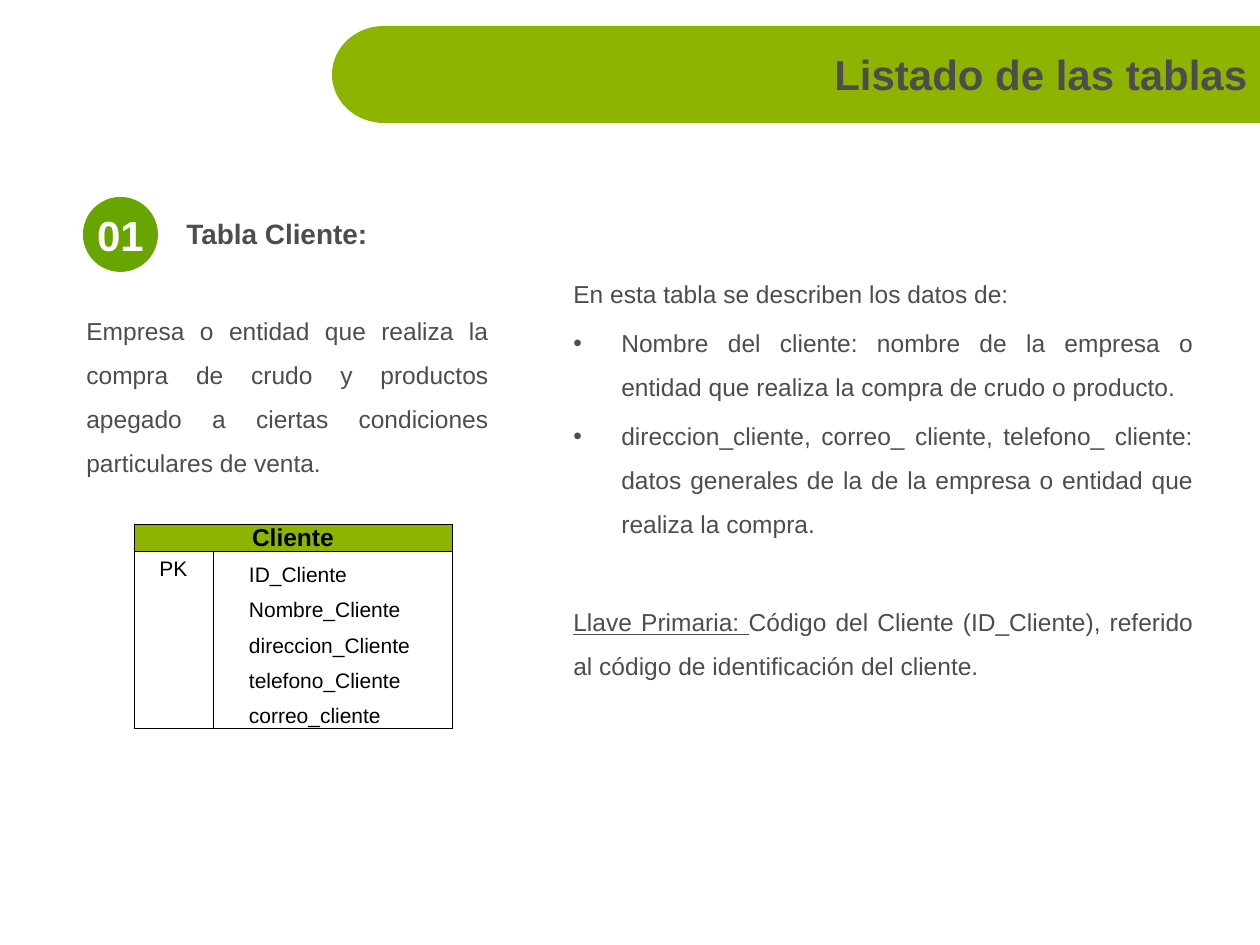
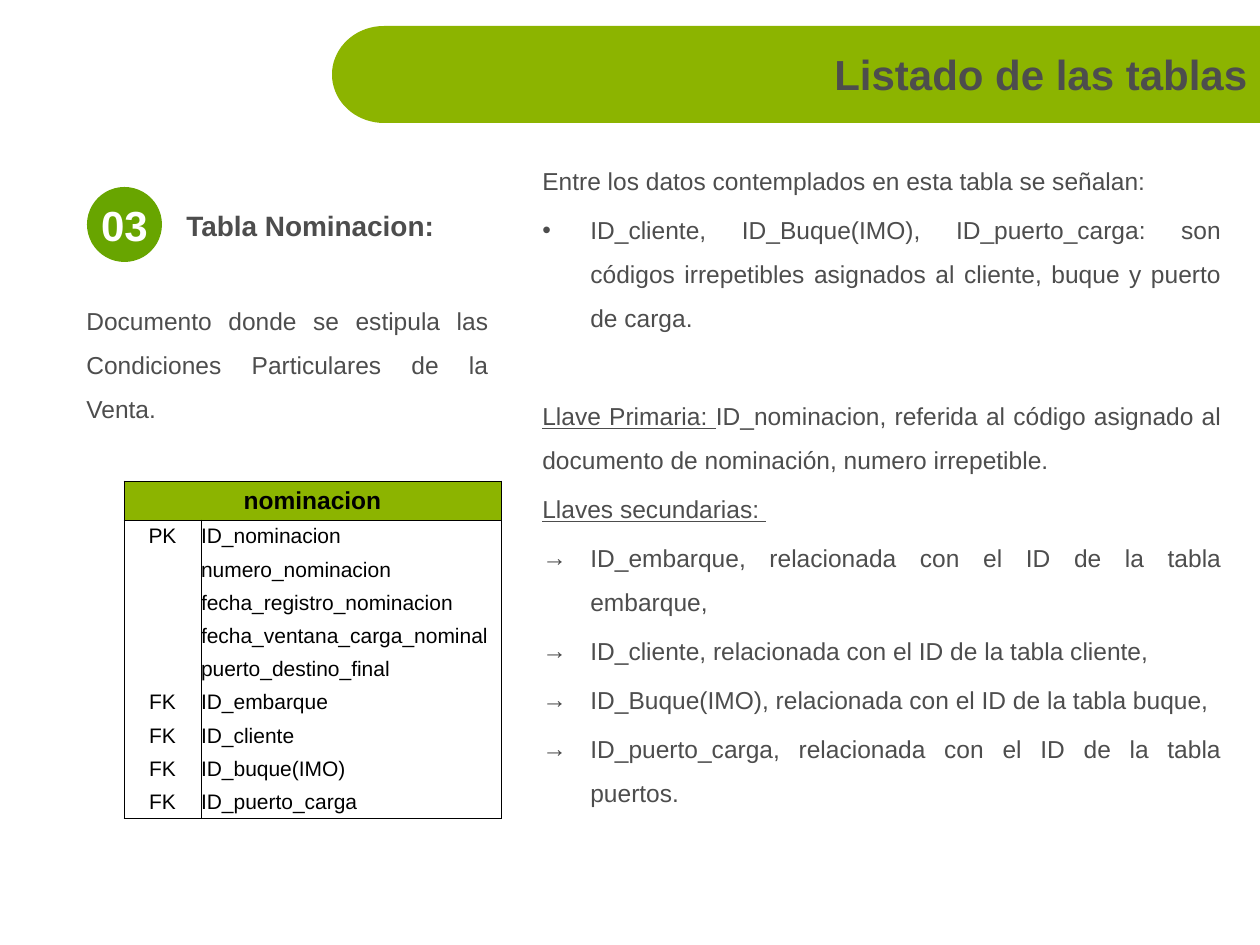
import math
from dataclasses import dataclass

from lxml import etree
from pptx import Presentation
from pptx.dml.color import RGBColor
from pptx.enum import shapes, text
from pptx.oxml.ns import qn
from pptx.util import Emu, Pt

EMU_PER_PX = 914400 / 126


@dataclass(frozen=True)
class Theme:
    font: str = "Arial"
    band: str = "8CB400"
    badge: str = "68A500"
    ink: str = "4D4D4D"
    black: str = "000000"
    white: str = "FFFFFF"
    title: int = 24
    label: int = 16
    body: int = 14
    cell: int = 12
    rule: float = 0.5
    leading: float = 1.5
    para_gap: float = 2.8
    section_gap: float = 30.8
    hang: int = 48


THEME = Theme()
BAND = dict(left=332, top=26, right=1260, bottom=123, curve=52)
TITLE_BOX = (386, 34, 874, 79)
BADGE_SIZE = 75
TITLE = "Listado de las tablas"

# Each note is (kind, underlined lead, text); kind is a bullet mark, "" or "section".
SLIDES = [
    dict(
        number="01", badge=(83, 197),
        label="Tabla Cliente:", label_box=(174, 210, 238, 47),
        summary="Empresa o entidad que realiza la compra de crudo y productos apegado a "
                "ciertas condiciones particulares de venta.",
        summary_box=(74, 295, 427, 218),
        notes_box=(561, 258, 645, 436),
        notes=[
            ("", "", "En esta tabla se describen los datos de:"),
            ("•", "", "Nombre del cliente: nombre de la empresa o entidad que realiza la "
                      "compra de crudo o producto."),
            ("•", "", "direccion_cliente, correo_ cliente, telefono_ cliente: datos generales "
                      "de la de la empresa o entidad que realiza la compra."),
            ("section", "Llave Primaria: ", "Código del Cliente (ID_Cliente), referido al "
                                            "código de identificación del cliente."),
        ],
        entity="Cliente", table_at=(134, 524), cols=(79, 239),
        header_height=26, body_height=177, indent=36, leading=THEME.leading,
        fields=[("PK", "ID_Cliente"), ("", "Nombre_Cliente"), ("", "direccion_Cliente"),
                ("", "telefono_Cliente"), ("", "correo_cliente")],
    ),
    dict(
        number="03", badge=(87, 187),
        label="Tabla Nominacion:", label_box=(174, 202, 277, 47),
        summary="Documento donde se estipula las Condiciones Particulares de la Venta.",
        summary_box=(74, 285, 427, 139),
        notes_box=(530, 145, 704, 436),
        notes=[
            ("", "", "Entre los datos contemplados en esta tabla se señalan:"),
            ("•", "", "ID_cliente, ID_Buque(IMO), ID_puerto_carga: son códigos irrepetibles "
                      "asignados al cliente, buque y puerto de carga."),
            ("section", "Llave Primaria: ", "ID_nominacion, referida al código asignado al "
                                            "documento de nominación, numero irrepetible."),
            ("", "Llaves secundarias: ", ""),
            ("→", "", "ID_embarque, relacionada con el ID de la tabla embarque,"),
            ("→", "", "ID_cliente, relacionada con el ID de la tabla cliente,"),
            ("→", "", "ID_Buque(IMO), relacionada con el ID de la tabla buque,"),
            ("→", "", "ID_puerto_carga, relacionada con el ID de la tabla puertos."),
        ],
        entity="nominacion", table_at=(124, 481), cols=(77, 300),
        header_height=39, body_height=299, indent=0, leading=1.0,
        fields=[("PK", "ID_nominacion"), ("", "numero_nominacion"),
                ("", "fecha_registro_nominacion"), ("", "fecha_ventana_carga_nominal"),
                ("", "puerto_destino_final"), ("FK", "ID_embarque"), ("FK", "ID_cliente"),
                ("FK", "ID_buque(IMO)"), ("FK", "ID_puerto_carga")],
    ),
]


def px(n):
    return Emu(round(n * EMU_PER_PX))


def box(*lengths):
    return [px(n) for n in lengths]


def rgb(value):
    return RGBColor.from_string(value)


def assign(obj, **values):
    for name, value in values.items():
        setattr(obj, name, value)


def add_run(p, words, size, color=THEME.ink, **style):
    r = p.add_run()
    r.text = words
    assign(r.font, name=THEME.font, size=Pt(size), **style)
    r.font.color.rgb = rgb(color)


def paint(sp, color):
    sp.shadow.inherit = False
    sp.fill.solid()
    sp.fill.fore_color.rgb = rgb(color)
    sp.line.fill.background()


def set_frame(tf, anchor=text.MSO_ANCHOR.TOP, **values):
    assign(tf, word_wrap=True, auto_size=text.MSO_AUTO_SIZE.NONE,
           vertical_anchor=anchor, **values)


def add_band(s):
    """Bar that runs off the right edge, with an elliptical left end."""
    left, top, right, bottom, curve = BAND.values()
    mid, half = (top + bottom) / 2, (bottom - top) / 2
    arc = [(left + curve - curve * math.sin(math.radians(a)),
            mid + half * math.cos(math.radians(a))) for a in range(0, 181, 5)]
    outline = s.shapes.build_freeform(*box(right, top))
    outline.add_line_segments([box(x, y) for x, y in [(right, bottom), *arc]])
    paint(outline.convert_to_shape(), THEME.band)


def add_title(s):
    sp = s.shapes.title
    sp.left, sp.top, sp.width, sp.height = box(*TITLE_BOX)
    sp.element.getparent().append(sp.element)  # bring in front of the band
    set_frame(sp.text_frame, text.MSO_ANCHOR.MIDDLE)
    p = sp.text_frame.paragraphs[0]
    p.alignment = text.PP_ALIGN.RIGHT
    add_run(p, TITLE, THEME.title, bold=True)


def add_badge(s, number, at):
    sp = s.shapes.add_shape(shapes.MSO_SHAPE.OVAL, *box(*at, BADGE_SIZE, BADGE_SIZE))
    paint(sp, THEME.badge)
    tf = sp.text_frame
    set_frame(tf, text.MSO_ANCHOR.MIDDLE, margin_left=0, margin_right=0,
              margin_top=0, margin_bottom=0)
    tf.word_wrap = False
    p = tf.paragraphs[0]
    p.alignment = text.PP_ALIGN.CENTER
    add_run(p, number, THEME.title, THEME.white, bold=True)


def add_label(s, words, place):
    tf = s.shapes.add_textbox(*box(*place)).text_frame
    set_frame(tf, text.MSO_ANCHOR.MIDDLE)
    add_run(tf.paragraphs[0], words, THEME.label, bold=True)


def add_bullet(p, mark):
    pPr = p._p.get_or_add_pPr()
    pPr.set("marL", str(px(THEME.hang)))
    pPr.set("indent", str(-px(THEME.hang)))
    etree.SubElement(pPr, qn("a:buFont")).set("typeface", THEME.font)
    etree.SubElement(pPr, qn("a:buChar")).set("char", mark)


def add_notes(s, notes, place):
    tf = s.shapes.add_textbox(*box(*place)).text_frame
    set_frame(tf)
    for i, (kind, lead, words) in enumerate(notes):
        p = tf.add_paragraph() if i else tf.paragraphs[0]
        gap = THEME.section_gap if kind == "section" else THEME.para_gap
        assign(p, alignment=text.PP_ALIGN.JUSTIFY, line_spacing=THEME.leading,
               space_before=Pt(gap))
        if kind in ("•", "→"):
            add_bullet(p, kind)
        if lead:
            add_run(p, lead, THEME.body, underline=True)
        if words:
            add_run(p, words, THEME.body)


def set_borders(cell, sides):
    tcPr = cell._tc.get_or_add_tcPr()
    for i, side in enumerate("LRTB"):
        ln = etree.Element(qn(f"a:ln{side}"), w=str(Pt(THEME.rule)))
        if side in sides:
            fill = etree.SubElement(ln, qn("a:solidFill"))
            etree.SubElement(fill, qn("a:srgbClr")).set("val", THEME.black)
        else:
            etree.SubElement(ln, qn("a:noFill"))
        tcPr.insert(i, ln)


def fill_cell(cell, words, size, sides, fill=None, centred=True, bold=False):
    assign(cell, margin_left=0, margin_right=0, margin_top=0, margin_bottom=0,
           vertical_anchor=text.MSO_ANCHOR.MIDDLE)
    if fill:
        cell.fill.solid()
        cell.fill.fore_color.rgb = rgb(fill)
    else:
        cell.fill.background()
    set_borders(cell, sides)
    p = cell.text_frame.paragraphs[0]
    p.alignment = text.PP_ALIGN.CENTER if centred else text.PP_ALIGN.LEFT
    if words:
        add_run(p, words, size, THEME.black, bold=bold)
    else:
        p._p.get_or_add_endParaRPr().set("sz", str(size * 100))
    return p


def add_entity_table(s, d):
    fields, cols = d["fields"], d["cols"]
    frame = s.shapes.add_table(
        len(fields) + 1, len(cols),
        *box(*d["table_at"], sum(cols), d["header_height"] + d["body_height"]))
    table = frame.table
    assign(table, first_row=False, horz_banding=False)
    for col, width in zip(table.columns, cols):
        col.width = px(width)
    for row in table.rows:
        row.height = px(d["body_height"] / len(fields))
    table.rows[0].height = px(d["header_height"])

    header = table.cell(0, 0)
    header.merge(table.cell(0, 1))
    fill_cell(header, d["entity"], THEME.body, "LRTB", THEME.band, bold=True)
    fill_cell(table.cell(0, 1), "", THEME.body, "LRTB", THEME.band)
    for i, (key, field) in enumerate(fields, 1):
        sides = "LR" + "T" * (i == 1) + "B" * (i == len(fields))
        fill_cell(table.cell(i, 0), key, THEME.cell, sides)
        p = fill_cell(table.cell(i, 1), field, THEME.cell, sides, centred=False)
        p.line_spacing = d["leading"]
        p._p.get_or_add_pPr().set("marL", str(px(d["indent"])))


def main():
    prs = Presentation()
    prs.slide_width, prs.slide_height = box(1260, 945)
    title_only = prs.slide_layouts.get_by_name("Title Only")
    for d in SLIDES:
        s = prs.slides.add_slide(title_only)
        add_band(s)
        add_title(s)
        add_badge(s, d["number"], d["badge"])
        add_label(s, d["label"], d["label_box"])
        add_notes(s, [("", "", d["summary"])], d["summary_box"])
        add_notes(s, d["notes"], d["notes_box"])
        add_entity_table(s, d)
    prs.save("out.pptx")


if __name__ == "__main__":
    main()
